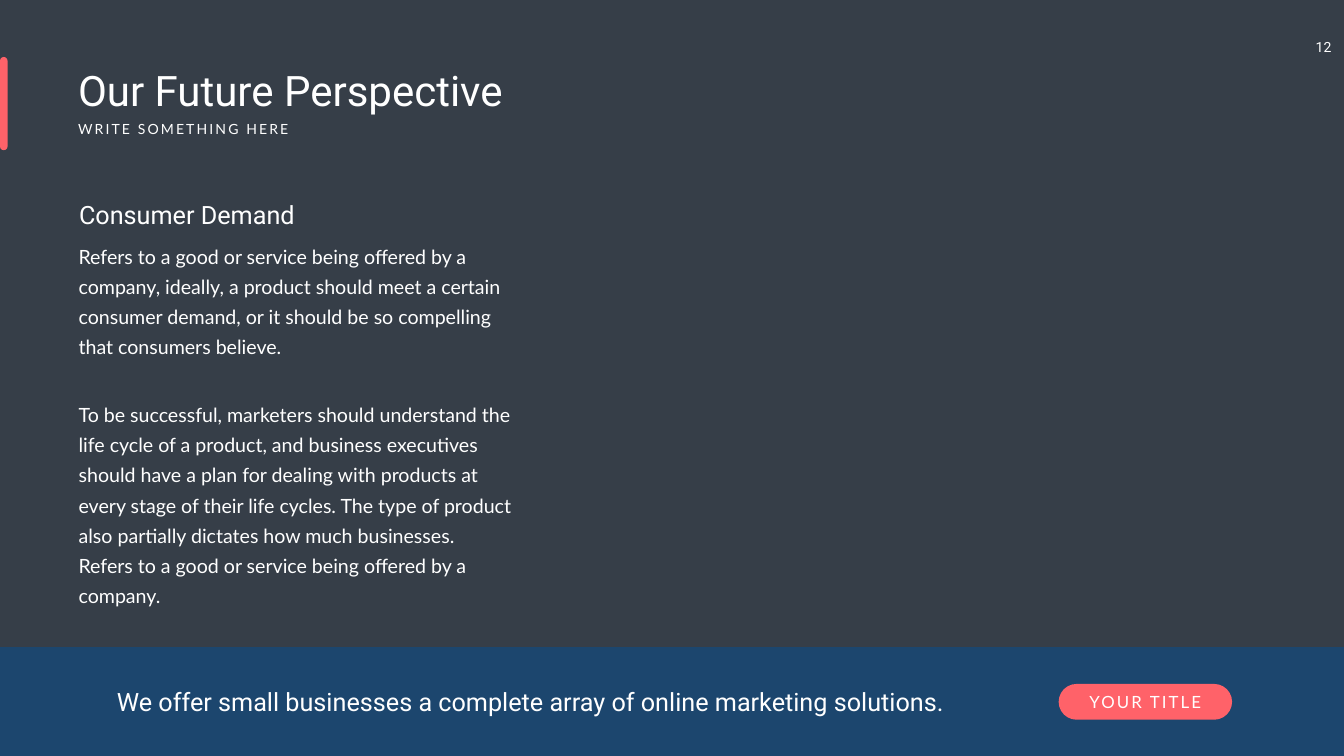
from pptx import Presentation
from pptx.dml.color import RGBColor
from pptx.enum.shapes import MSO_SHAPE
from pptx.enum.text import MSO_ANCHOR, PP_ALIGN
from pptx.util import Inches, Pt

RECT = MSO_SHAPE.RECTANGLE
ROUND = MSO_SHAPE.ROUNDED_RECTANGLE
CENTER = PP_ALIGN.CENTER
MIDDLE = MSO_ANCHOR.MIDDLE

DARK, BLUE, CORAL, WHITE = "363E48", "1C466E", "FF6269", "FFFFFF"
HEAD, BODY = "Roboto", "Lato"
WIDE, HIGH = 26.66, 15
BAND = 2.16

DEMAND = [
    "Refers to a good or service being offered by a company, ideally, "
    "a product should meet a certain consumer demand, or it should be so "
    "compelling that consumers believe.",
    "To be successful, marketers should understand the life cycle of a "
    "product, and business executives should have a plan for dealing with "
    "products at every stage of their life cycles. The type of product also "
    "partially dictates how much businesses. Refers to a good or service "
    "being offered by a company.",
]


def paint(fill, color):
    fill.solid()
    fill.fore_color.rgb = RGBColor.from_string(color)


def style(para, size, font, track=0):
    """Format the runs of a paragraph; track is letter spacing in points."""
    for run in para.runs:
        run.font.size = Pt(size)
        run.font.name = font
        paint(run.font.fill, WHITE)
        if track:
            run._r.get_or_add_rPr().set("spc", str(track * 100))


def add_block(slide, kind, box, color):
    shape = slide.shapes.add_shape(kind, *map(Inches, box))
    shape.shadow.inherit = False
    paint(shape.fill, color)
    shape.line.fill.background()
    if kind == ROUND:
        shape.adjustments[0] = 0.5
    return shape


def add_text(slide, box, text, size, font=HEAD, track=0):
    frame = slide.shapes.add_textbox(*map(Inches, box)).text_frame
    frame.word_wrap = True
    frame.text = text
    for para in frame.paragraphs:
        style(para, size, font, track)
    return frame


def add_page(slide):
    frame = add_text(slide, (25.8, 0.67, 0.91, 0.54), "12", 20)
    frame.word_wrap = False
    frame.margin_top = frame.margin_bottom = Inches(0.1)
    frame.paragraphs[0].alignment = CENTER


def add_body(slide):
    frame = add_text(slide, (1.32, 4.61, 9.06, 7), "\n".join(DEMAND), 28, BODY)
    frame.margin_left = frame.margin_right = Inches(0.24)
    frame.margin_top = frame.margin_bottom = Inches(0.12)
    for para in frame.paragraphs:
        para.line_spacing = Pt(43)
    frame.paragraphs[1].space_before = Pt(54)


def add_pill(slide):
    pill = add_block(slide, ROUND, (21, 13.57, 3.44, 0.71), CORAL)
    frame = pill.text_frame
    frame.word_wrap = False
    frame.vertical_anchor = MIDDLE
    frame.text = "YOUR TITLE"
    frame.paragraphs[0].alignment = CENTER
    style(frame.paragraphs[0], 24, BODY, 3)


def main():
    deck = Presentation()
    deck.slide_width, deck.slide_height = Inches(WIDE), Inches(HIGH)
    slide = deck.slides.add_slide(deck.slide_layouts[6])
    paint(slide.background.fill, DARK)

    add_page(slide)
    add_block(slide, RECT, (0, HIGH - BAND, WIDE, BAND), BLUE)
    add_text(slide, (2.22, 13.57, 17.76, 0.71),
             "We offer small businesses a complete array of online "
             "marketing solutions.", 36)
    add_pill(slide)
    add_body(slide)
    add_text(slide, (1.47, 3.9, 6.09, 0.71), "Consumer Demand", 36)
    add_text(slide, (1.45, 1.24, 9.76, 1.11), "Our Future Perspective", 60)
    add_text(slide, (1.45, 2.35, 5.85, 0.44), "WRITE SOMETHING HERE",
             20, BODY, 3)
    add_block(slide, ROUND, (0, 1.13, 0.15, 1.85), CORAL)
    deck.save("out.pptx")


if __name__ == "__main__":
    main()
